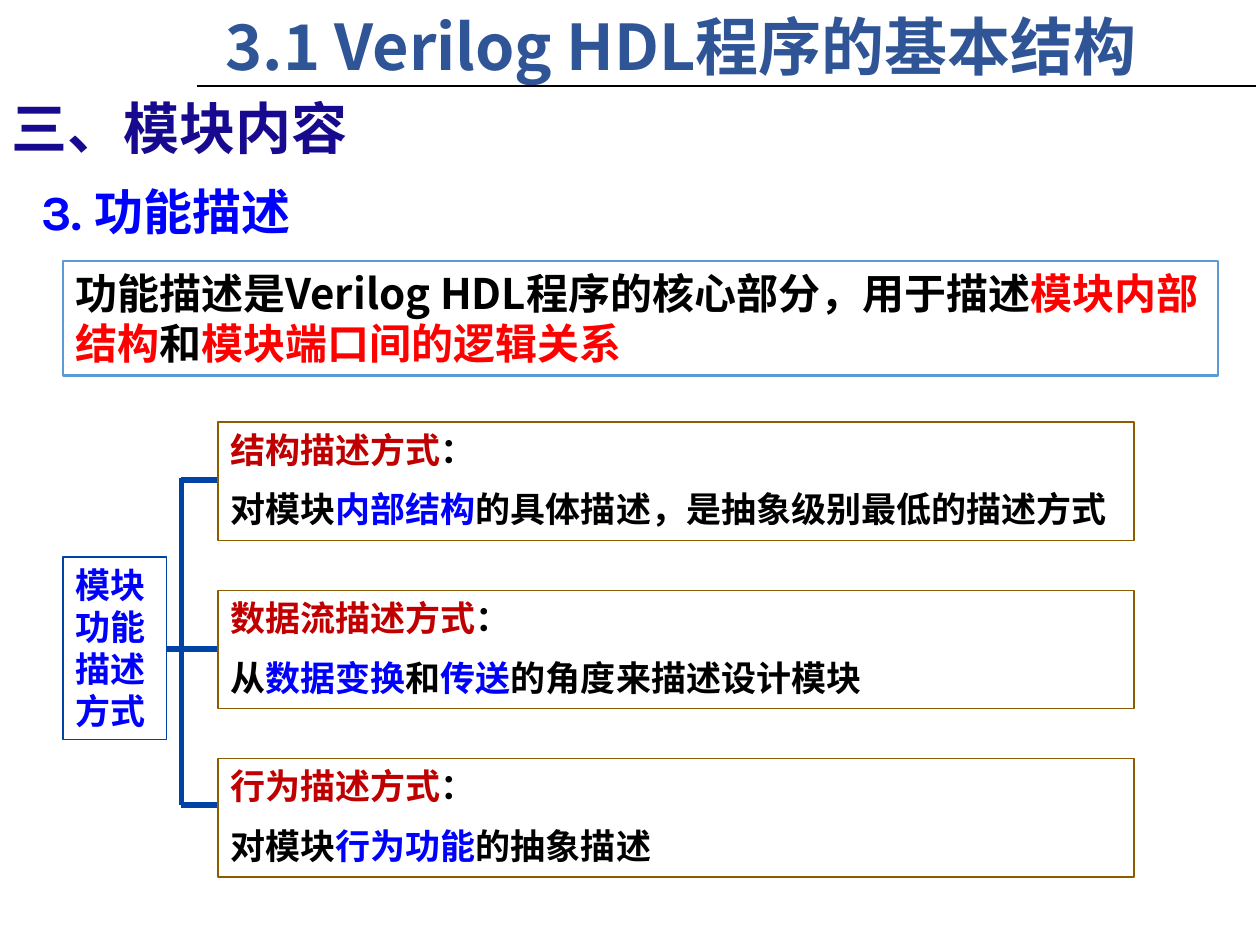
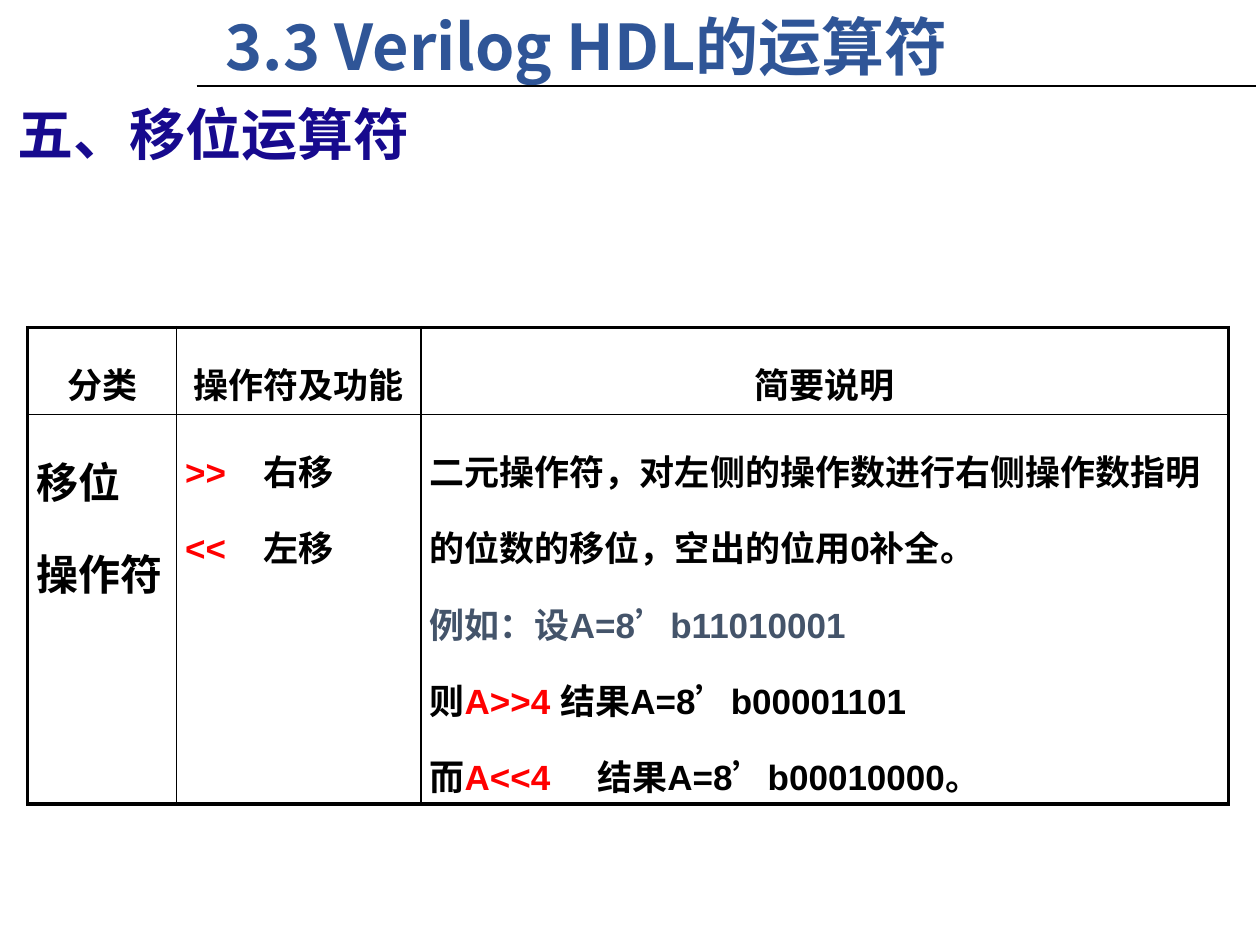
from lxml.etree import SubElement
from pptx import Presentation
from pptx.dml.color import RGBColor
from pptx.enum.shapes import MSO_CONNECTOR, MSO_SHAPE
from pptx.enum.text import MSO_ANCHOR, MSO_AUTO_SIZE, PP_ALIGN
from pptx.oxml.ns import qn
from pptx.util import Inches, Pt

CJK = "Noto Sans CJK SC"
BLACK, RED, BLUE = "000000", "FF0000", "0000FF"
TITLE_BLUE, SECTION_NAVY = "2F5597", "170A8E"
TREE_BLUE, METHOD_BROWN, METHOD_RED = "0043A6", "8C5D00", "C00000"
INTRO_BLUE, EXAMPLE_GREY = "5B9BD5", "44546A"
TITLE_ONLY = 5
THIN, THICK = 1, 2.25


def rgb(value):
    return RGBColor.from_string(value)


def write(frame, paragraphs, size=20, color=BLACK, font=CJK, align=PP_ALIGN.LEFT,
          spacing=None, gap=0, tab=None):
    """Fill a frame; each paragraph is a string or a list of (text, colour[, font]) runs."""
    frame.word_wrap = True
    for index, runs in enumerate(paragraphs):
        paragraph = frame.paragraphs[0] if index == 0 else frame.add_paragraph()
        paragraph.alignment = align
        if spacing:
            paragraph.line_spacing = spacing
        if index and gap:
            paragraph.space_before = Pt(gap)
        if tab:
            tabs = SubElement(paragraph._p.get_or_add_pPr(), qn("a:tabLst"))
            SubElement(tabs, qn("a:tab"), pos=str(Inches(tab)), algn="l")
        for text, run_color, *run_font in [(runs, color)] if isinstance(runs, str) else runs:
            run = paragraph.add_run()
            run.text = text
            run.font.size = Pt(size)
            run.font.bold = True
            run.font.color.rgb = rgb(run_color)
            run.font.name = run_font[0] if run_font else font
            SubElement(run._r.get_or_add_rPr(), qn("a:ea"), typeface=CJK)


def add_text(slide, box, paragraphs, **fmt):
    write(slide.shapes.add_textbox(*map(Inches, box)).text_frame, paragraphs, **fmt)


def add_frame(slide, box, paragraphs, outline, width=0.75, **fmt):
    """Outlined rectangle without fill, text at the top."""
    frame = slide.shapes.add_shape(MSO_SHAPE.RECTANGLE, *map(Inches, box))
    frame.shadow.inherit = False
    frame.fill.background()
    frame.line.color.rgb = rgb(outline)
    frame.line.width = Pt(width)
    frame.text_frame.vertical_anchor = MSO_ANCHOR.TOP
    write(frame.text_frame, paragraphs, **fmt)


def add_line(slide, x1, y1, x2, y2, color, width):
    line = slide.shapes.add_connector(MSO_CONNECTOR.STRAIGHT, *map(Inches, (x1, y1, x2, y2)))
    line.line.color.rgb = rgb(color)
    line.line.width = Pt(width)
    SubElement(line._element.spPr, qn("a:effectLst"))


def add_titled_slide(prs, heading, section, section_box):
    slide = prs.slides.add_slide(prs.slide_layouts[TITLE_ONLY])
    title = slide.shapes.title
    title.left, title.top, title.width, title.height = map(Inches, (1.69, 0.01, 7.89, 0.71))
    title.text_frame.auto_size = MSO_AUTO_SIZE.NONE
    title.text_frame.vertical_anchor = MSO_ANCHOR.TOP
    write(title.text_frame, [heading], size=36, color=TITLE_BLUE)
    add_line(slide, 1.56, 0.68, 9.97, 0.68, BLACK, 1.25)
    add_text(slide, section_box, [section], size=32, color=SECTION_NAVY)
    return slide


def add_method_tree(slide, left, top, root, methods):
    """Root box joined by a bracket to one box per description method."""
    spine, branch_left = left + 0.94, left + 1.23
    branch_ends = [top + 0.46, top + 1.8, top + 3.04]
    root_middle = branch_ends[1]
    add_frame(slide, (left, top + 1.07, 0.82, 1.45), [root], TREE_BLUE, color=BLUE)
    add_line(slide, left + 0.82, root_middle, spine, root_middle, TREE_BLUE, 3)
    add_line(slide, spine, branch_ends[0] - 0.02, spine, branch_ends[-1], TREE_BLUE, 3)
    for index, ((method, description), end) in enumerate(zip(methods, branch_ends)):
        add_line(slide, spine, end, branch_left, end, TREE_BLUE, 3)
        add_frame(slide, (branch_left, top + index * 1.335, 7.27, 0.94),
                  [[(method, METHOD_RED, CJK), ("：", BLACK, "Times New Roman")], description],
                  METHOD_BROWN, font="Calibri", gap=10)


def set_borders(cell, **widths):
    properties = cell._tc.get_or_add_tcPr()
    for side in "LRTB":
        border = SubElement(properties, qn(f"a:ln{side}"), w=str(Pt(widths[side])))
        fill = SubElement(border, qn("a:solidFill"))
        SubElement(fill, qn("a:srgbClr"), val=BLACK)


def add_operator_table(slide, left, top, rows):
    """Grid with a thick outer frame; each cell is (paragraphs, format)."""
    widths, heights = [1.18, 1.94, 6.41], [0.69, 3.09]
    table = slide.shapes.add_table(len(heights), len(widths), *map(
        Inches, (left, top, sum(widths), sum(heights)))).table
    table.first_row = table.horz_banding = False
    for column, width in zip(table.columns, widths):
        column.width = Inches(width)
    for row, height in zip(table.rows, heights):
        row.height = Inches(height)
    last_row, last_column = len(heights) - 1, len(widths) - 1
    for r, row in enumerate(rows):
        for c, (paragraphs, fmt) in enumerate(row):
            cell = table.cell(r, c)
            cell.margin_left = cell.margin_right = Inches(0.07)
            cell.margin_top = cell.margin_bottom = Inches(0.04)
            set_borders(cell, L=THIN if c else THICK, R=THICK if c == last_column else THIN,
                        T=THIN if r else THICK, B=THICK if r == last_row else THIN)
            cell.fill.background()
            write(cell.text_frame, paragraphs, font="Arial", spacing=1.5, **fmt)


def build_description_slide(prs):
    slide = add_titled_slide(prs, "3.1 Verilog HDL程序的基本结构", "三、模块内容",
                             (-0.01, 0.69, 4.87, 0.64))
    add_text(slide, (0.23, 1.39, 2.41, 0.57), ["3. 功能描述"], size=28, color=BLUE, font="Karla")
    add_frame(slide, (0.5, 2.07, 9.17, 0.91), [[
        ("功能描述是Verilog HDL程序的核心部分，用于描述", BLACK), ("模块内部结构", RED),
        ("和", BLACK), ("模块端口间的逻辑关系", RED)]], INTRO_BLUE, width=1.25, size=24)
    add_method_tree(slide, 0.5, 3.35, "模块功能描述方式", [
        ("结构描述方式", [("对模块", BLACK), ("内部结构", BLUE),
                    ("的具体描述，是抽象级别最低的描述方式", BLACK)]),
        ("数据流描述方式", [("从", BLACK), ("数据变换", BLUE), ("和", BLACK), ("传送", BLUE),
                     ("的角度来描述设计模块", BLACK)]),
        ("行为描述方式", [("对模块", BLACK), ("行为功能", BLUE), ("的抽象描述", BLACK)]),
    ])


def build_shift_slide(prs):
    slide = add_titled_slide(prs, "3.3 Verilog HDL的运算符", "五、移位运算符",
                             (0.04, 0.74, 6.51, 0.64))
    header = [([label], {"align": PP_ALIGN.CENTER}) for label in ("分类", "操作符及功能", "简要说明")]
    operators = [[(sign, RED), ("\t" + meaning, BLACK)]
                 for sign, meaning in ((">>", "右移"), ("<<", "左移"))]
    explanation = [
        "二元操作符，对左侧的操作数进行右侧操作数指明的位数的移位，空出的位用0补全。",
        [("例如：设A=8’b11010001", EXAMPLE_GREY)],
        [("则", BLACK), ("A>>4 ", RED), ("结果A=8’b00001101", BLACK)],
        [("而", BLACK), ("A<<4", RED), ("\t结果A=8’b00010000。", BLACK)],
    ]
    add_operator_table(slide, 0.22, 2.6, [
        header,
        [(["移位", "操作符"], {"size": 24}), (operators, {"tab": 0.62}),
         (explanation, {"tab": 1.33})],
    ])


def main():
    prs = Presentation()
    prs.slide_width, prs.slide_height = Inches(10), Inches(7.5)
    build_description_slide(prs)
    build_shift_slide(prs)
    prs.save("out.pptx")


if __name__ == "__main__":
    main()
